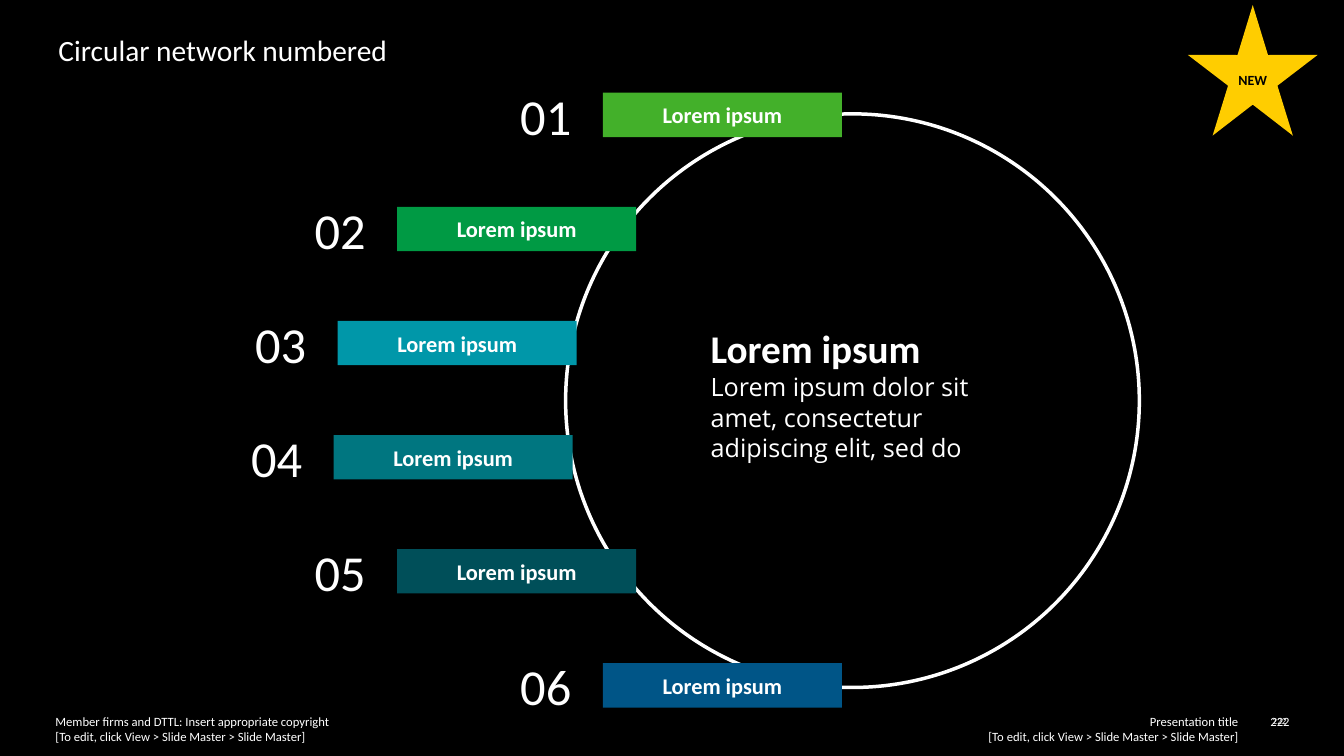
from pptx import Presentation
from pptx.dml.color import RGBColor as RGB
from pptx.enum.shapes import MSO_SHAPE as Shape
from pptx.enum.text import MSO_ANCHOR as Anchor, PP_ALIGN as Align
from pptx.util import Inches, Pt

# Content
COLORS = {"back": "000000", "text": "FFFFFF", "star": "FFCD00",
          "one": "43B02A", "two": "009A44", "three": "0097A9",
          "four": "007680", "five": "004F59", "six": "005587"}
TITLE = "Circular network numbered"
STEPS = [  # number, label, colour, left edge of bar
    ("01", "Lorem ipsum", "one", 5.98),
    ("02", "Lorem ipsum", "two", 3.94),
    ("03", "Lorem ipsum", "three", 3.35),
    ("04", "Lorem ipsum", "four", 3.31),
    ("05", "Lorem ipsum", "five", 3.94),
    ("06", "Lorem ipsum", "six", 5.98),
]
HEAD = "Lorem ipsum"
BODY = "Lorem ipsum dolor sit amet, consectetur adipiscing elit, sed do"
EDIT = "[To edit, click View > Slide Master > Slide Master]"
FOOT = [  # lines, box, size, alignment
    (["Presentation title", EDIT], (6.93, 7.08, 5.35, 0.3), 9, Align.RIGHT),
    (["Member firms and DTTL: Insert appropriate copyright", EDIT],
     (0.55, 7.08, 5.86, 0.3), 9, Align.LEFT),
    (["222"], (12.45, 7.08, 0.34, 0.15), 9, Align.RIGHT),
    (["222"], (12.25, 7.1, 0.51, 0.36), 6.5, Align.RIGHT),
]

# Layout
TOP, STEP = 0.92, 1.132
BAR = (2.37, 0.44)
NUM = (0.88, 0.61)
SHIFT = (-0.82, -0.08)  # from bar corner to number corner

prs = Presentation()
prs.slide_width, prs.slide_height = Inches(13.33), Inches(7.5)
slide = prs.slides.add_slide(prs.slide_layouts[6])


def tint(name):
    return RGB.from_string(COLORS[name])


def paint(fill, name):
    fill.solid()
    fill.fore_color.rgb = tint(name)


def write(para, lines, size, align=Align.LEFT, color="text", bold=False,
          face="Calibri"):
    para.alignment = align
    for i, line in enumerate(lines):
        if i:
            para.add_line_break()
        run = para.add_run()
        run.text = line
        look = {"size": Pt(size), "bold": bold, "name": face}
        for key, val in look.items():
            setattr(run.font, key, val)
        run.font.color.rgb = tint(color)


def frame(item, pad, anchor=Anchor.TOP):
    text = item.text_frame
    look = {"word_wrap": True, "vertical_anchor": anchor}
    for side, gap in zip(("left", "top", "right", "bottom"), pad):
        look["margin_" + side] = Inches(gap)
    for key, val in look.items():
        setattr(text, key, val)
    return text


def label(box, pad=(0, 0, 0, 0)):
    return frame(slide.shapes.add_textbox(*map(Inches, box)), pad)


def draw(kind, box, color=None):
    item = slide.shapes.add_shape(kind, *map(Inches, box))
    item.shadow.inherit = False
    if color:
        paint(item.fill, color)
        item.line.fill.background()
    else:
        item.fill.background()
    return item


paint(slide.background.fill, "back")

# Footer
for lines, box, size, align in FOOT:
    write(label(box).paragraphs[0], lines, size, align)

# Ring
ring = draw(Shape.OVAL, (5.61, 1.13, 5.69, 5.69))
ring.line.color.rgb = tint("text")
ring.line.width = Pt(2.5)

# Centre text
mid = label((6.95, 3.17, 3.35, 1.78), (0.1, 0.05, 0.1, 0.05))
write(mid.paragraphs[0], [HEAD], 28, bold=True)
write(mid.add_paragraph(), [BODY], 18, face="Open Sans")

# Numbered bars
for i, (num, name, color, left) in enumerate(STEPS):
    top = TOP + i * STEP
    bar = draw(Shape.RECTANGLE, (left, top, *BAR), color)
    text = frame(bar, [0.1] * 4, Anchor.MIDDLE)
    write(text.paragraphs[0], [name], 16, Align.CENTER, bold=True)
    spot = label((left + SHIFT[0], top + SHIFT[1], *NUM))
    write(spot.paragraphs[0], [num], 36)

# Title
write(label((0.58, 0.32, 12.18, 0.51)).paragraphs[0], [TITLE], 21)

# Star
star = draw(Shape.STAR_5_POINT, (11.78, 0.05, 1.29, 1.29), "star")
for i, val in enumerate((0.19, 1.05, 1.11)):
    star.adjustments[i] = val
para = frame(star, [0.1] * 4, Anchor.MIDDLE).paragraphs[0]
para.line_spacing = 1.06
write(para, ["NEW"], 10, Align.CENTER, "back", True)

prs.save("out.pptx")
